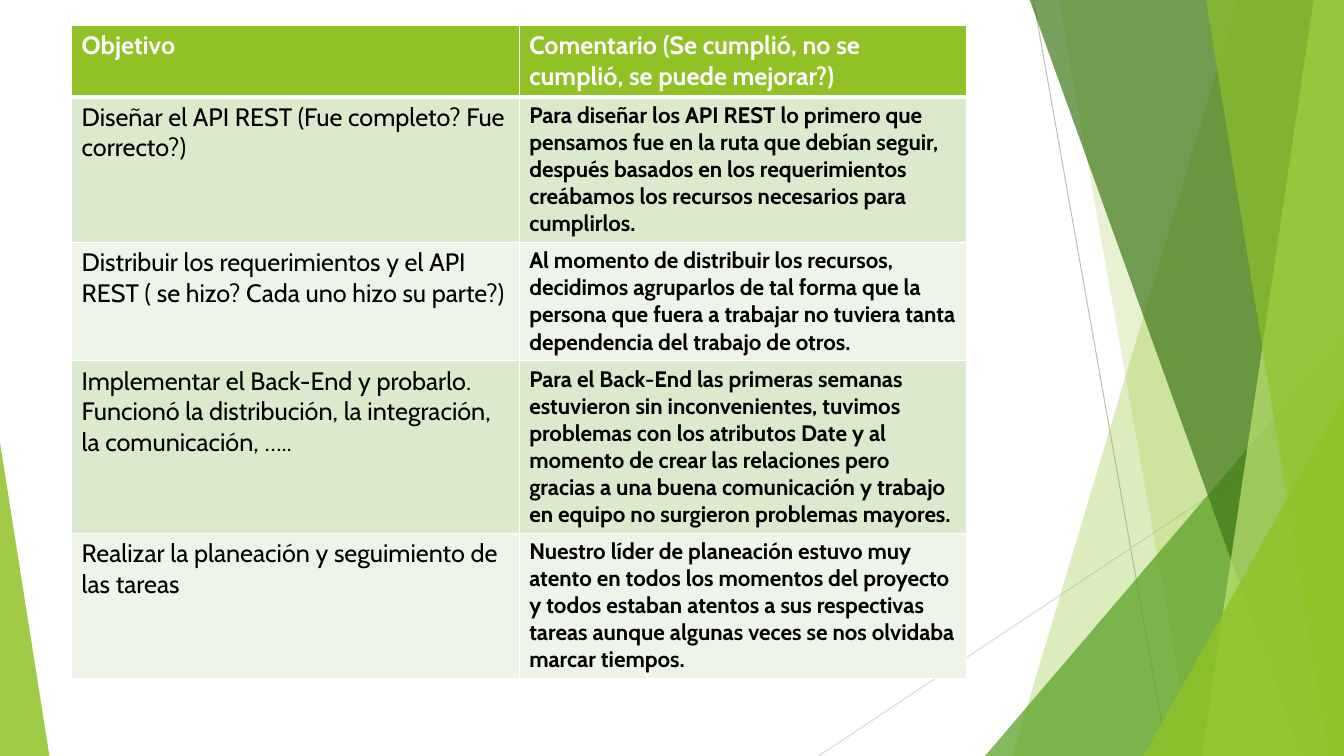
from dataclasses import dataclass

import lxml.etree
import pptx
import pptx.dml.color
import pptx.enum.shapes
import pptx.oxml.ns
import pptx.util

Inches = pptx.util.Inches
SLIDE_WIDTH = 13.33
SLIDE_HEIGHT = 7.5
BAND_TOP = -0.01


@dataclass(frozen=True)
class Theme:
    font: str = "Cabin"
    heading_size: int = 18
    comment_size: int = 16
    white: str = "FFFFFF"
    black: str = "000000"
    green: str = "90C226"
    leaf: str = "54A021"
    forest: str = "3F7819"
    lime: str = "C0E474"
    row_dark: str = "DBE9CD"
    row_light: str = "EEF4E8"
    steep_line: str = "BFBFBF"
    shallow_line: str = "D9D9D9"


@dataclass(frozen=True)
class Ray:
    start: tuple[float, float]
    end: tuple[float, float]
    color: str


@dataclass(frozen=True)
class Band:
    top_left: float
    bottom_left: float
    color: str
    opacity: int


@dataclass(frozen=True)
class Corner:
    left: float
    top: float
    width: float
    apex: float
    color: str
    opacity: int


@dataclass(frozen=True)
class Goal:
    objective: str
    comment: str
    height: float


THEME = Theme()

RAYS = [
    Ray((10.25, 0), (11.58, SLIDE_HEIGHT), THEME.steep_line),
    Ray((SLIDE_WIDTH, 4.03), (8.12, SLIDE_HEIGHT), THEME.shallow_line),
]

FACETS = [
    Band(12.28, 10.04, THEME.green, 30),
    Band(10.5, 11.83, THEME.green, 20),
    Corner(9.77, 3.33, 3.56, 1, THEME.leaf, 72),
    Band(10.21, 12.91, THEME.forest, 70),
    Band(13.03, 11.92, THEME.lime, 70),
    Band(11.96, 13.18, THEME.green, 65),
    Corner(11.34, 3.93, 1.99, 1, THEME.green, 80),
    Corner(0, 4.39, 0.49, 0, THEME.green, 85),
]

HEADER = Goal("Objetivo", "Comentario (Se cumplió, no se cumplió, se puede mejorar?)", 0.7)

GOALS = [
    Goal(
        "Diseñar el API REST (Fue completo? Fue correcto?)",
        "Para diseñar los API REST lo primero que pensamos fue en la ruta que debían seguir, "
        "después basados en los requerimientos creábamos los recursos necesarios para cumplirlos.",
        1.44,
    ),
    Goal(
        "Distribuir los requerimientos y el API REST ( se hizo? Cada uno hizo su parte?)",
        "Al momento de distribuir los recursos, decidimos agruparlos de tal forma que la persona "
        "que fuera a trabajar no tuviera tanta dependencia del trabajo de otros.",
        1.17,
    ),
    Goal(
        "Implementar el Back-End y probarlo. Funcionó la distribución, la integración, "
        "la comunicación, …..",
        "Para el Back-End las primeras semanas estuvieron sin inconvenientes, tuvimos problemas "
        "con los atributos Date y al momento de crear las relaciones pero gracias a una buena "
        "comunicación y trabajo en equipo no surgieron problemas mayores.",
        1.71,
    ),
    Goal(
        "Realizar la planeación y seguimiento de las tareas",
        "Nuestro líder de planeación estuvo muy atento en todos los momentos del proyecto y todos "
        "estaban atentos a sus respectivas tareas aunque algunas veces se nos olvidaba marcar "
        "tiempos.",
        1.44,
    ),
]


def rgb(color: str) -> pptx.dml.color.RGBColor:
    return pptx.dml.color.RGBColor.from_string(color)


def add_element(parent, tag: str, **attributes: str):
    element = lxml.etree.SubElement(parent, pptx.oxml.ns.qn(tag))
    for name, value in attributes.items():
        element.set(name, value)
    return element


def draw_ray(slide, ray: Ray) -> None:
    connector = slide.shapes.add_connector(
        pptx.enum.shapes.MSO_CONNECTOR.STRAIGHT,
        *(Inches(length) for length in ray.start + ray.end),
    )
    connector.line.color.rgb = rgb(ray.color)
    connector.line.width = pptx.util.Pt(0.75)
    add_element(connector.element.spPr, "a:effectLst")


def paint_facet(shape, facet: Band | Corner) -> None:
    shape.shadow.inherit = False
    shape.line.fill.background()
    shape.fill.solid()
    shape.fill.fore_color.rgb = rgb(facet.color)
    color_element = shape.element.spPr.find(".//" + pptx.oxml.ns.qn("a:srgbClr"))
    add_element(color_element, "a:alpha", val=str(facet.opacity * 1000))


def draw_band(slide, band: Band) -> None:
    builder = slide.shapes.build_freeform(Inches(band.top_left), Inches(BAND_TOP))
    corners = [
        (SLIDE_WIDTH, BAND_TOP),
        (SLIDE_WIDTH, SLIDE_HEIGHT),
        (band.bottom_left, SLIDE_HEIGHT),
    ]
    builder.add_line_segments([(Inches(x), Inches(y)) for x, y in corners], close=True)
    paint_facet(builder.convert_to_shape(), band)


def draw_corner(slide, corner: Corner) -> None:
    shape = slide.shapes.add_shape(
        pptx.enum.shapes.MSO_SHAPE.ISOSCELES_TRIANGLE,
        Inches(corner.left),
        Inches(corner.top),
        Inches(corner.width),
        Inches(SLIDE_HEIGHT - corner.top),
    )
    shape.adjustments[0] = corner.apex
    paint_facet(shape, corner)


def format_cell(cell, text: str, fill: str, color: str, size: int, bold: bool, bottom: int) -> None:
    properties = cell._tc.get_or_add_tcPr()
    for side, width in {"lnL": 1, "lnR": 1, "lnT": 1, "lnB": bottom}.items():
        border = add_element(properties, f"a:{side}", w=str(pptx.util.Pt(width)))
        add_element(add_element(border, "a:solidFill"), "a:srgbClr", val=THEME.white)
    cell.fill.solid()
    cell.fill.fore_color.rgb = rgb(fill)
    cell.text = text
    font = cell.text_frame.paragraphs[0].font
    font.name = THEME.font
    font.size = pptx.util.Pt(size)
    font.bold = bold
    font.color.rgb = rgb(color)


def draw_goals(slide) -> None:
    rows = [HEADER, *GOALS]
    height = sum(goal.height for goal in rows)
    frame = slide.shapes.add_table(
        len(rows), 2, Inches(0.71), Inches(0.25), Inches(8.88), Inches(height)
    )
    table = frame.table
    for index, goal in enumerate(rows):
        table.rows[index].height = Inches(goal.height)
        objective, comment = table.rows[index].cells
        if index == 0:
            for cell, text in ((objective, goal.objective), (comment, goal.comment)):
                format_cell(cell, text, THEME.green, THEME.white, THEME.heading_size, True, 3)
            continue
        fill = THEME.row_dark if index % 2 else THEME.row_light
        format_cell(objective, goal.objective, fill, THEME.black, THEME.heading_size, False, 1)
        format_cell(comment, goal.comment, fill, THEME.black, THEME.comment_size, True, 1)


def main() -> None:
    presentation = pptx.Presentation()
    presentation.slide_width = Inches(SLIDE_WIDTH)
    presentation.slide_height = Inches(SLIDE_HEIGHT)
    slide = presentation.slides.add_slide(presentation.slide_layouts.get_by_name("Blank"))
    for ray in RAYS:
        draw_ray(slide, ray)
    for facet in FACETS:
        draw = draw_band if isinstance(facet, Band) else draw_corner
        draw(slide, facet)
    draw_goals(slide)
    presentation.save("out.pptx")


if __name__ == "__main__":
    main()
